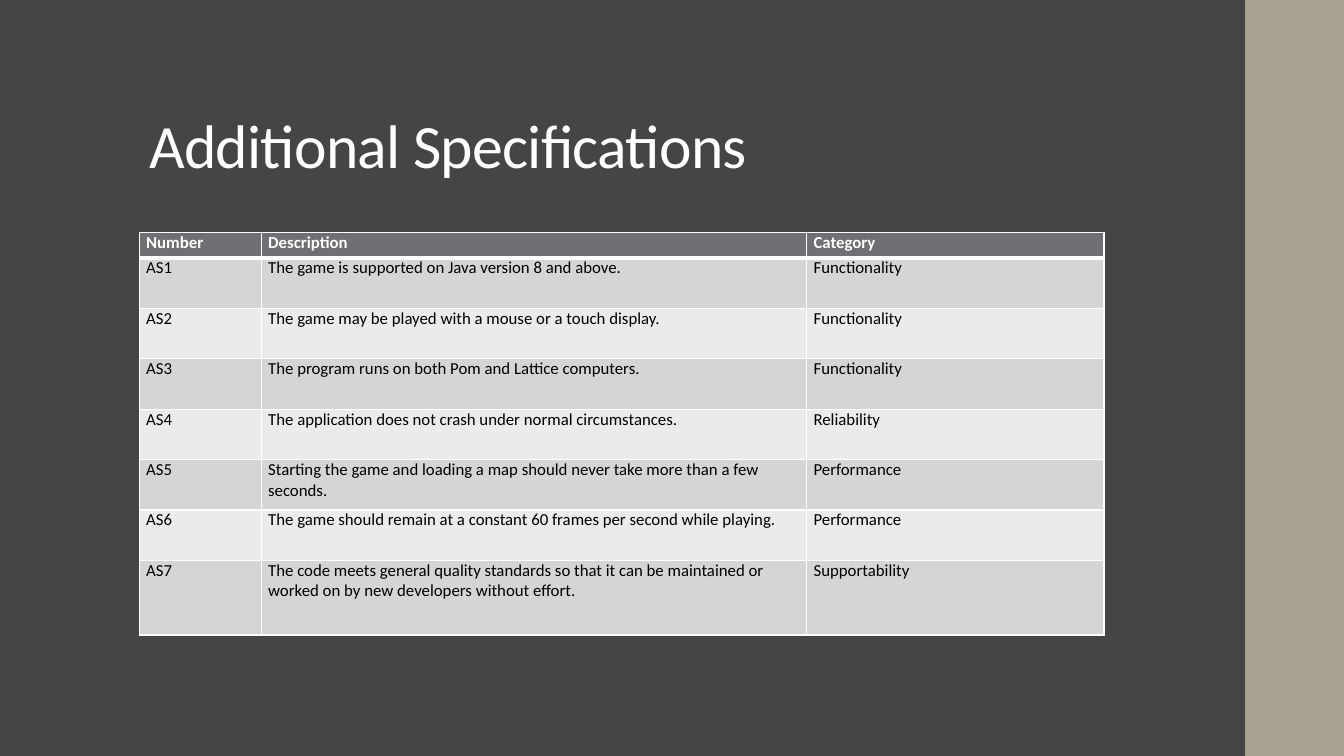
from dataclasses import dataclass

from lxml.etree import SubElement
from pptx import Presentation
from pptx.dml.color import RGBColor
from pptx.enum.shapes import MSO_SHAPE
from pptx.enum.text import MSO_ANCHOR, PP_ALIGN
from pptx.oxml.ns import qn
from pptx.util import Inches, Pt

FONT = "Calibri"
WHITE = "FFFFFF"
BLACK = "000000"
BACKGROUND = "454545"
SIDE_BAND = "A7A192"
HEADER_FILL = "6F6F74"
BAND_FILLS = ("D5D5D6", "EBEBEB")
COLUMN_WIDTHS = (1.21, 5.41, 2.95)
HEADER_HEIGHT, ROW_HEIGHT, LAST_HEIGHT = 0.25, 0.5, 0.74


@dataclass
class Specification:
    description: str
    category: str


@dataclass
class CellStyle:
    fill: str
    color: str
    bold: bool
    top: float = 1
    bottom: float = 1


SPECIFICATIONS = [
    Specification("The game is supported on Java version 8 and above.", "Functionality"),
    Specification("The game may be played with a mouse or a touch display.", "Functionality"),
    Specification("The program runs on both Pom and Lattice computers.", "Functionality"),
    Specification("The application does not crash under normal circumstances.", "Reliability"),
    Specification("Starting the game and loading a map should never take more than a few seconds.",
                  "Performance"),
    Specification("The game should remain at a constant 60 frames per second while playing.",
                  "Performance"),
    Specification("The code meets general quality standards so that it can be maintained or "
                  "worked on by new developers without effort.", "Supportability"),
]


def rgb(color: str) -> RGBColor:
    return RGBColor.from_string(color)


def format_text(paragraph, size: float, color: str, bold: bool = False) -> None:
    for span in paragraph.runs:
        span.font.name = FONT
        span.font.size = Pt(size)
        span.font.bold = bold
        span.font.color.rgb = rgb(color)


def add_border(cell, side: str, width: float) -> None:
    line = SubElement(cell._tc.get_or_add_tcPr(), qn(f"a:ln{side}"), w=str(Pt(width)))
    SubElement(SubElement(line, qn("a:solidFill")), qn("a:srgbClr"), val=WHITE)


def fill_cell(cell, text: str, style: CellStyle) -> None:
    cell.text_frame.text = text
    format_text(cell.text_frame.paragraphs[0], 12, style.color, style.bold)
    cell.margin_left = cell.margin_right = Inches(0.07)
    cell.margin_top = cell.margin_bottom = 0
    for side, width in (("L", 1), ("R", 1), ("T", style.top), ("B", style.bottom)):
        add_border(cell, side, width)
    cell.fill.solid()
    cell.fill.fore_color.rgb = rgb(style.fill)


def row_style(index: int) -> CellStyle:
    if index == 0:
        return CellStyle(HEADER_FILL, WHITE, True, bottom=3)
    fill = BAND_FILLS[(index - 1) % len(BAND_FILLS)]
    return CellStyle(fill, BLACK, False, top=3 if index == 1 else 1)


def add_side_band(page) -> None:
    band = page.shapes.add_shape(
        MSO_SHAPE.RECTANGLE, Inches(12.35), 0, Inches(0.98), Inches(7.5))
    band.shadow.inherit = False
    band.fill.solid()
    band.fill.fore_color.rgb = rgb(SIDE_BAND)
    band.line.fill.background()


def set_title(page, text: str) -> None:
    title = page.shapes.title
    title.left, title.top = Inches(1.38), Inches(0.4)
    title.width, title.height = Inches(10.6), Inches(1.45)
    frame = title.text_frame
    frame.text = text
    frame.word_wrap = True
    frame.vertical_anchor = MSO_ANCHOR.BOTTOM
    paragraph = frame.paragraphs[0]
    paragraph.alignment = PP_ALIGN.LEFT
    paragraph.line_spacing = 0.9
    format_text(paragraph, 44, WHITE)
    paragraph.runs[0].font._element.set("spc", "-50")


def add_specification_table(page) -> None:
    rows = [("Number", "Description", "Category")]
    rows += [(f"AS{number}", item.description, item.category)
             for number, item in enumerate(SPECIFICATIONS, 1)]
    heights = [HEADER_HEIGHT] + [ROW_HEIGHT] * (len(SPECIFICATIONS) - 1) + [LAST_HEIGHT]
    table = page.shapes.add_table(
        len(rows), len(COLUMN_WIDTHS), Inches(1.38), Inches(2.31),
        Inches(sum(COLUMN_WIDTHS)), Inches(sum(heights))).table
    for column, width in zip(table.columns, COLUMN_WIDTHS):
        column.width = Inches(width)
    for index, (texts, height) in enumerate(zip(rows, heights)):
        table.rows[index].height = Inches(height)
        for cell, text in zip(table.rows[index].cells, texts):
            fill_cell(cell, text, row_style(index))


deck = Presentation()
deck.slide_width, deck.slide_height = Inches(13.33), Inches(7.5)
page = deck.slides.add_slide(deck.slide_layouts[5])
page.background.fill.solid()
page.background.fill.fore_color.rgb = rgb(BACKGROUND)
add_side_band(page)
set_title(page, "Additional Specifications")
add_specification_table(page)
deck.save("out.pptx")
